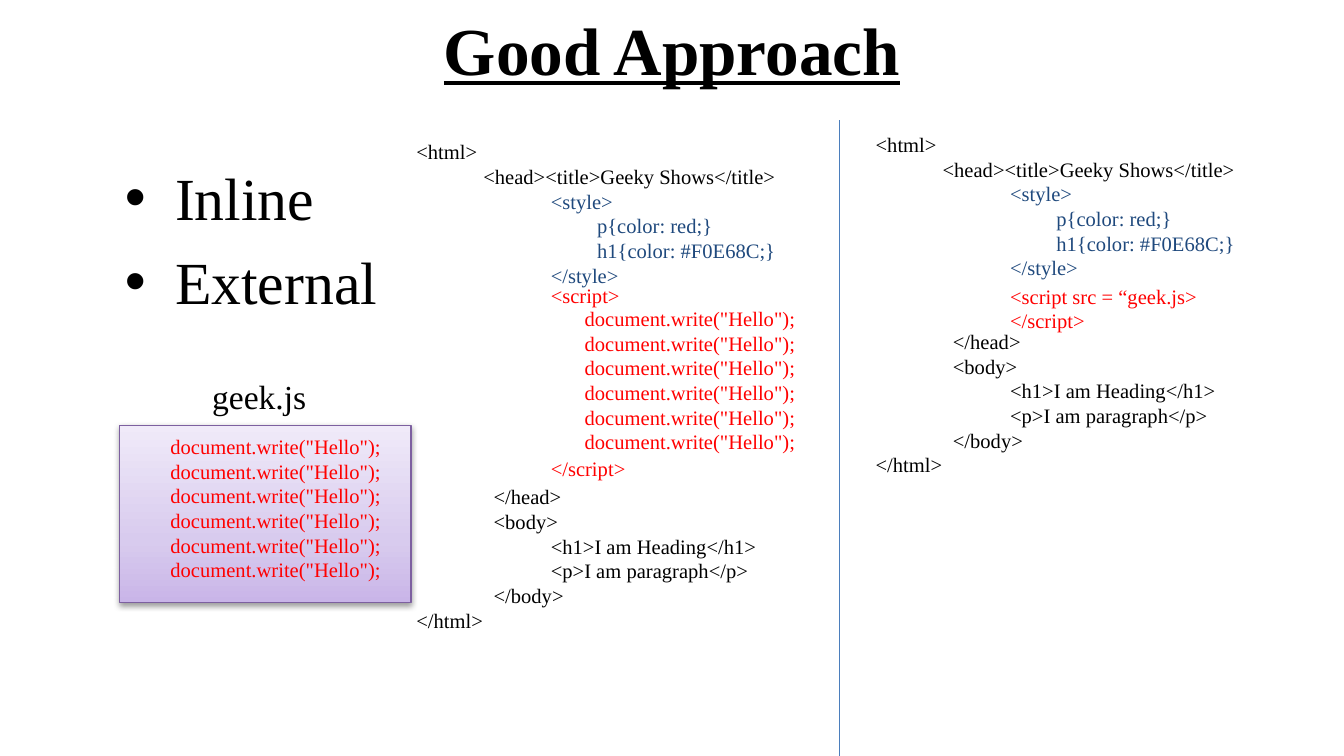
from copy import deepcopy

from lxml import etree
from pptx import Presentation
from pptx.dml.color import RGBColor
from pptx.enum.shapes import MSO_CONNECTOR, MSO_SHAPE
from pptx.enum.text import MSO_ANCHOR, MSO_AUTO_SIZE, PP_ALIGN
from pptx.oxml.ns import qn
from pptx.util import Cm, Pt

STRAIGHT = MSO_CONNECTOR.STRAIGHT
RECTANGLE = MSO_SHAPE.RECTANGLE
MIDDLE, TOP = MSO_ANCHOR.MIDDLE, MSO_ANCHOR.TOP
GROW, FIXED = MSO_AUTO_SIZE.SHAPE_TO_FIT_TEXT, MSO_AUTO_SIZE.NONE
LEFT, CENTER = PP_ALIGN.LEFT, PP_ALIGN.CENTER

COLORS = {
    "text": "000000",
    "style": "1F497D",
    "script": "FF0000",
    "divider": "4B7EBC",
    "file_line": "7D60A0",
    "file_dark": "C9B5E8",
    "file_mid": "D8CBEE",
    "file_light": "F0EAF9",
    "shadow": "000000",
}
FONT = "Times New Roman"
CODE_SIZE = 11
CODE_LINE = 13.2
TAB_STOP = Cm(2.54)

PAGE_CODE = [
    "<html>",
    "             <head><title>Geeky Shows</title>",
    "\t<style>",
    "\t         p{color: red;}",
    "\t         h1{color: #F0E68C;}",
    "\t</style>",
    "               </head>",
    "               <body>",
    "\t<h1>I am Heading</h1>",
    "\t<p>I am paragraph</p>",
    "               </body>",
    "</html>",
]
STYLE_LINES = range(2, 6)
HEAD_END = 6
WRITE_CODE = ['\tdocument.write("Hello");'] * 6


def rgb(name):
    """Return the named colour."""
    return RGBColor.from_string(COLORS[name])


def add_bullet(paragraph, indent):
    """Give a paragraph a round bullet with a hanging indent."""
    props = paragraph._p.get_or_add_pPr()
    props.set("marL", str(indent))
    props.set("indent", str(-indent))
    etree.SubElement(props, qn("a:buFont"), typeface="Arial")
    etree.SubElement(props, qn("a:buChar"), char="•")


def add_tab_stop(paragraph):
    """Give a paragraph the left tab stop of the code."""
    stops = etree.SubElement(paragraph._p.get_or_add_pPr(), qn("a:tabLst"))
    etree.SubElement(stops, qn("a:tab"), pos=str(TAB_STOP), algn="l")


def add_text(slide, box, lines, *, size=CODE_SIZE, color="text", line_colors=None,
             gaps=None, bold=False, underline=False, align=LEFT, anchor=TOP,
             fit=GROW, wrap=True, bullet_indent=None):
    """Place lines of text, with colours and space before by line number."""
    frame = slide.shapes.add_textbox(*map(Cm, box)).text_frame
    frame.word_wrap = wrap
    frame.auto_size = fit
    frame.vertical_anchor = anchor
    for number, line in enumerate(lines):
        paragraph = frame.paragraphs[0] if number == 0 else frame.add_paragraph()
        paragraph.alignment = align
        if bullet_indent:
            add_bullet(paragraph, bullet_indent)
        if line.startswith("\t"):
            add_tab_stop(paragraph)
        if gaps and number in gaps:
            paragraph.space_before = Pt(gaps[number])
        run = paragraph.add_run()
        run.text = line
        run.font.name = FONT
        run.font.size = Pt(size)
        run.font.bold = bold
        run.font.underline = underline
        run.font.color.rgb = rgb((line_colors or {}).get(number, color))


def add_title(slide, box):
    """Place the slide title."""
    add_text(slide, box, ["Good Approach"], size=36, bold=True, underline=True,
             align=CENTER, anchor=MIDDLE, fit=FIXED)


def add_ways(slide, box):
    """Place the bulleted list of ways to add a script."""
    add_text(slide, box, ["Inline", "External"], size=32, gaps={1: 6.4},
             fit=FIXED, bullet_indent=Cm(0.95))


def add_soft_shadow(shape):
    """Put a soft shadow below a shape."""
    shape.shadow.inherit = False
    effects = shape._element.spPr.find(qn("a:effectLst"))
    shadow = etree.SubElement(effects, qn("a:outerShdw"), blurRad=str(Pt(3.1)),
                              dist=str(Pt(1.6)), dir="5400000", rotWithShape="0")
    tint = etree.SubElement(shadow, qn("a:srgbClr"), val=COLORS["shadow"])
    etree.SubElement(tint, qn("a:alpha"), val="38000")


def add_script_file(slide, box):
    """Place the script file panel with its name above it."""
    left, top, width, height = box
    panel = slide.shapes.add_shape(RECTANGLE, *map(Cm, box))
    panel.fill.gradient()
    panel.fill.gradient_angle = 90
    first = panel._element.spPr.find(qn("a:gradFill")).find(qn("a:gsLst"))[0]
    first.addnext(deepcopy(first))
    stops = [("file_dark", 0), ("file_mid", 0.35), ("file_light", 1)]
    for stop, (name, position) in zip(panel.fill.gradient_stops, stops):
        stop.color.rgb = rgb(name)
        stop.position = position
    panel.line.color.rgb = rgb("file_line")
    panel.line.width = Pt(0.75)
    add_soft_shadow(panel)
    add_text(slide, (left - 1.83, top + 0.04, 7.19, 3.07), WRITE_CODE, color="script")
    add_text(slide, (left + 1.5, top - 1.06, 2.31, 1.02), ["geek.js"],
             size=18, wrap=False)


def add_page(slide, box, script, script_top, page_gap, script_gap=0):
    """Place a page listing with its script tags in the gap before the head ends."""
    left, top, width, height = box
    add_text(slide, box, PAGE_CODE, gaps={HEAD_END: page_gap * CODE_LINE},
             line_colors=dict.fromkeys(STYLE_LINES, "style"))
    script_height = 0.25 + (2 + script_gap) * 0.47
    add_text(slide, (left, top + script_top, 7.19, script_height), script,
             color="script", gaps={1: script_gap * CODE_LINE})


def add_inline_page(slide, box):
    """Place the page whose script is written inside it."""
    left, top, width, height = box
    add_page(slide, box, ["\t<script>", "\t</script>"], 2.72, page_gap=8, script_gap=6)
    add_text(slide, (left + 0.64, top + 3.15, 7.82, 3.07), WRITE_CODE, color="script")


def add_external_page(slide, box):
    """Place the page that loads its script from a file."""
    add_page(slide, box, ["\t<script src = “geek.js>", "\t</script>"], 2.87, page_gap=2)


def add_divider(slide, box):
    """Draw the upright line between the two pages."""
    left, top, width, height = box
    divider = slide.shapes.add_connector(
        STRAIGHT, Cm(left), Cm(top), Cm(left + width), Cm(top + height))
    divider.line.color.rgb = rgb("divider")
    divider.line.width = Pt(0.75)
    etree.SubElement(divider._element.spPr, qn("a:effectLst"))


def main():
    """Build the slide and save it."""
    deck = Presentation()
    deck.slide_width, deck.slide_height = Cm(25.4), Cm(14.29)
    slide = deck.slides.add_slide(deck.slide_layouts[6])
    add_title(slide, (1.27, -0.27, 22.86, 2.39))
    add_ways(slide, (2.11, 2.92, 5.66, 4.45))
    add_script_file(slide, (2.26, 8.04, 5.51, 3.35))
    add_inline_page(slide, (7.62, 2.51, 8.05, 10.13))
    add_external_page(slide, (16.3, 2.37, 8.05, 7.32))
    add_divider(slide, (15.87, 2.27, 0, 12.02))
    deck.save("out.pptx")


if __name__ == "__main__":
    main()
